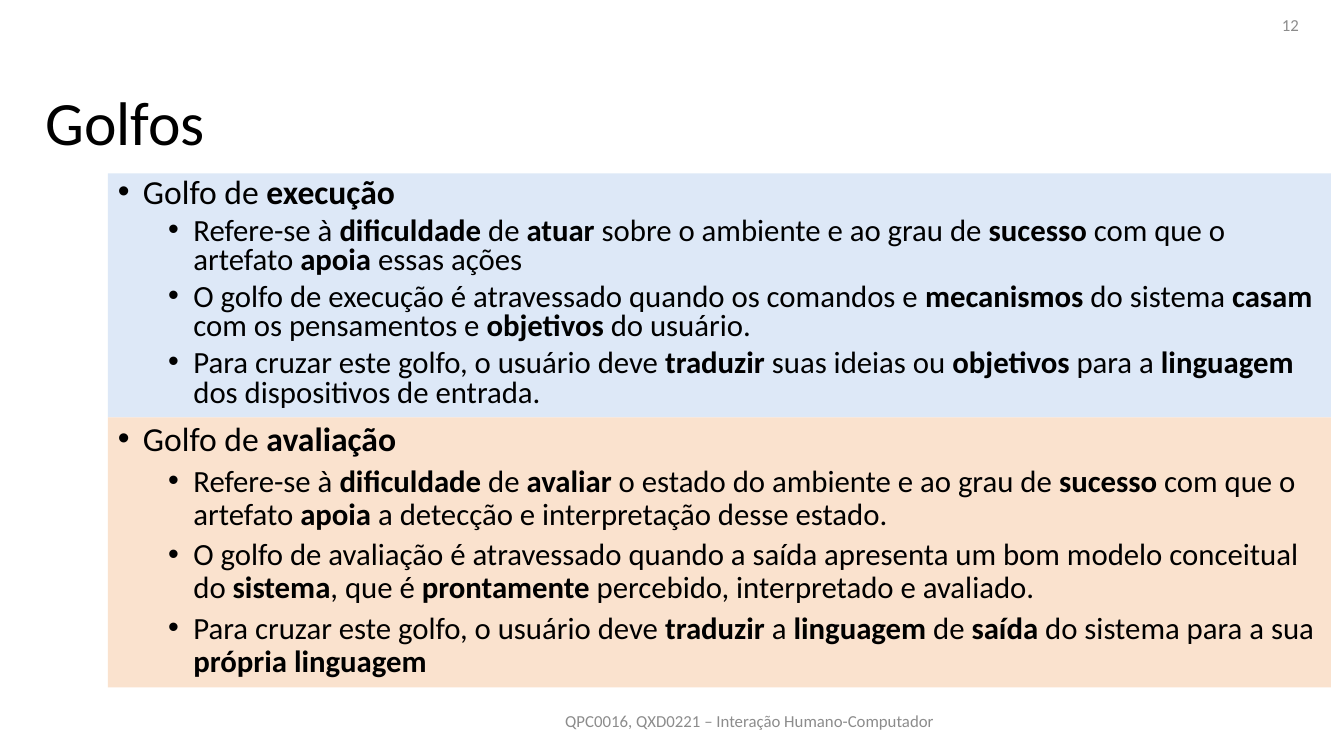
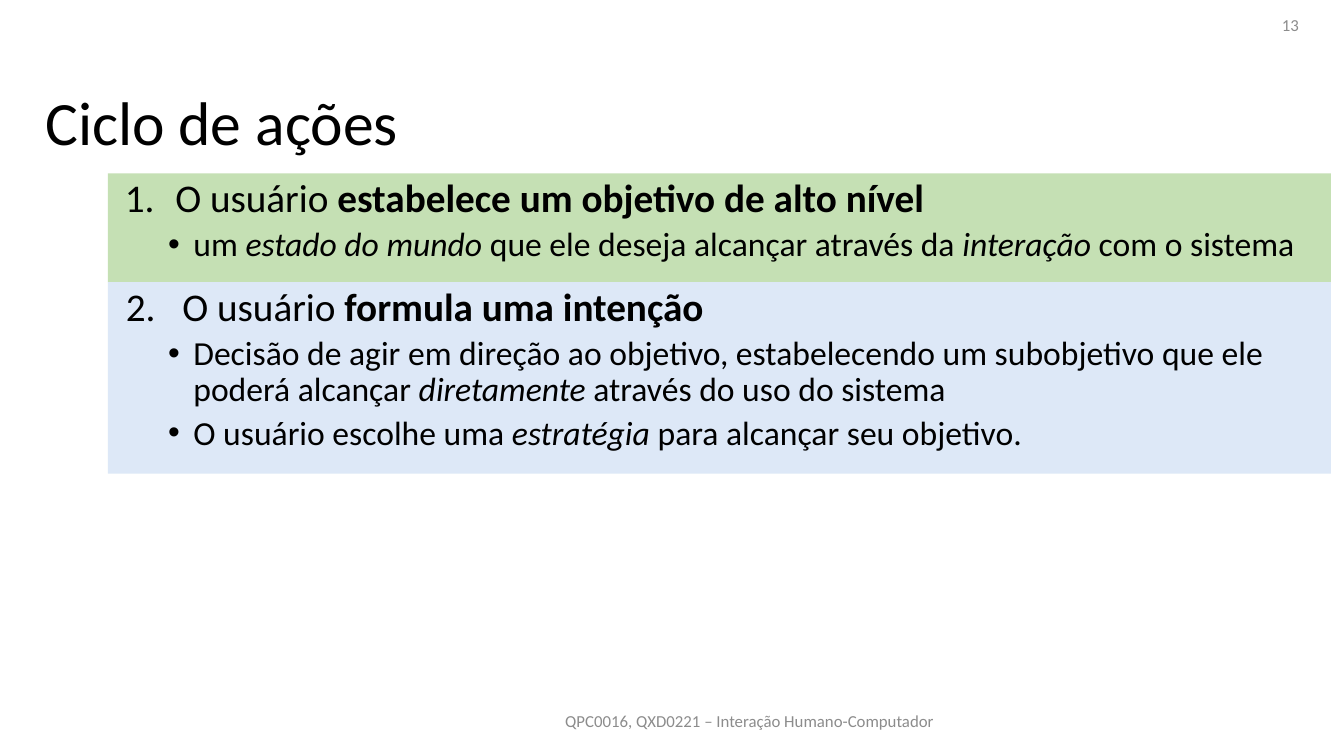
from lxml import etree
from pptx import Presentation
from pptx.dml.color import RGBColor
from pptx.enum import shapes, text
from pptx.oxml import ns
from pptx.util import Inches, Pt

BLACK = RGBColor(0x00, 0x00, 0x00)
GRAY = RGBColor(0x8C, 0x8C, 0x8C)
BLUE = RGBColor(0xDD, 0xE8, 0xF7)
ORANGE = RGBColor(0xFA, 0xE2, 0xCE)
GREEN = RGBColor(0xC5, 0xE0, 0xB4)

FONT = "Calibri"
FOOTER = "QPC0016, QXD0221 – Interação Humano-Computador"
BODY_LEFT, BODY_TOP, BODY_WIDTH = 1.07, 1.72, 12.13


class Lecture:
    def __init__(self):
        self.deck = Presentation()
        self.deck.slide_width = Inches(13.33)
        self.deck.slide_height = Inches(7.5)
        self.slide = None

    def add_slide(self, title, number):
        self.slide = self.deck.slides.add_slide(self.deck.slide_layouts[6])
        self.label(title, (0.35, 0.65, 12.61, 1.2), 44, BLACK, spacing=0.9)
        self.label(FOOTER, (3.49, 6.95, 7.89, 0.4), 12, GRAY, text.PP_ALIGN.CENTER)
        self.label(str(number), (9.98, 0.05, 3, 0.4), 12, GRAY, text.PP_ALIGN.RIGHT)

    def span(self, para, words, size, color=BLACK):
        span = para.add_run()
        span.text = words
        span.font.name = FONT
        span.font.size = Pt(size)
        span.font.color.rgb = color
        return span

    def label(self, words, place, size, color, align=text.PP_ALIGN.LEFT, spacing=1.0):
        box = self.slide.shapes.add_textbox(*map(Inches, place))
        frame = box.text_frame
        frame.word_wrap = True
        frame.vertical_anchor = text.MSO_ANCHOR.MIDDLE
        para = frame.paragraphs[0]
        para.alignment = align
        para.line_spacing = spacing
        self.span(para, words, size, color)

    def bullet(self, para, margin, hanging, number=None):
        props = para._p.get_or_add_pPr()
        props.set("marL", str(Inches(margin)))
        props.set("indent", str(-Inches(hanging)))
        etree.SubElement(props, ns.qn("a:buFont"), typeface=FONT if number else "Arial")
        if number:
            etree.SubElement(props, ns.qn("a:buAutoNum"),
                             type="arabicPeriod", startAt=str(number))
        else:
            etree.SubElement(props, ns.qn("a:buChar"), char="•")

    def panel(self, top, height, color, heading, points, sizes,
              spacing=0.9, number=None, indent=(0.25, 0.25), emphasis="bold"):
        place = (BODY_LEFT, top, BODY_WIDTH, height)
        box = self.slide.shapes.add_shape(
            shapes.MSO_SHAPE.RECTANGLE, *map(Inches, place))
        box.shadow.inherit = False
        box.fill.solid()
        box.fill.fore_color.rgb = color
        box.line.fill.background()
        frame = box.text_frame
        frame.word_wrap = True
        frame.vertical_anchor = text.MSO_ANCHOR.TOP

        para = frame.paragraphs[0]
        self.bullet(para, *indent, number)
        self.marked_text(para, heading, sizes[0], spacing, bold=True)
        for point in points:
            para = frame.add_paragraph()
            para.level = 1
            self.bullet(para, 0.75, 0.25)
            para.space_before = Pt(5)
            self.marked_text(para, point, sizes[1], spacing, bold=emphasis == "bold")

    def marked_text(self, para, marked, size, spacing, bold):
        para.alignment = text.PP_ALIGN.LEFT
        para.line_spacing = spacing
        for index, words in enumerate(marked.split("*")):
            if words:
                span = self.span(para, words, size)
                stressed = index % 2 == 1
                span.font.bold = stressed and bold
                span.font.italic = stressed and not bold


def main():
    lecture = Lecture()

    lecture.add_slide("Golfos", 12)
    lecture.panel(BODY_TOP, 2.42, BLUE, "Golfo de *execução*", [
        "Refere-se à *dificuldade* de *atuar* sobre o ambiente e ao grau de "
        "*sucesso* com que o artefato *apoia* essas ações",
        "O golfo de execução é atravessado quando os comandos e *mecanismos* "
        "do sistema *casam* com os pensamentos e *objetivos* do usuário.",
        "Para cruzar este golfo, o usuário deve *traduzir* suas ideias ou "
        "*objetivos* para a *linguagem* dos dispositivos de entrada.",
    ], sizes=(24, 22), spacing=0.8)
    lecture.panel(BODY_TOP + 2.42, 2.68, ORANGE, "Golfo de *avaliação*", [
        "Refere-se à *dificuldade* de *avaliar* o estado do ambiente e ao grau de "
        "*sucesso* com que o artefato *apoia* a detecção e interpretação desse estado.",
        "O golfo de avaliação é atravessado quando a saída apresenta um bom modelo "
        "conceitual do *sistema*, que é *prontamente* percebido, interpretado e avaliado.",
        "Para cruzar este golfo, o usuário deve *traduzir* a *linguagem* de *saída* "
        "do sistema para a sua *própria linguagem*",
    ], sizes=(24, 22))

    lecture.add_slide("Ciclo de ações", 13)
    lecture.panel(BODY_TOP, 1.08, GREEN, "O usuário *estabelece um objetivo de alto nível*", [
        "um *estado do mundo* que ele deseja alcançar através da *interação* com o sistema",
    ], sizes=(28, 24), number=1, indent=(0.57, 0.5), emphasis="italic")
    lecture.panel(BODY_TOP + 1.08, 1.9, BLUE, "O usuário *formula uma intenção*", [
        "Decisão de agir em direção ao objetivo, estabelecendo um subobjetivo que ele "
        "poderá alcançar *diretamente* através do uso do sistema",
        "O usuário escolhe uma *estratégia* para alcançar seu objetivo.",
    ], sizes=(28, 24), number=2, indent=(0.64, 0.56), emphasis="italic")

    lecture.deck.save("out.pptx")


if __name__ == "__main__":
    main()
